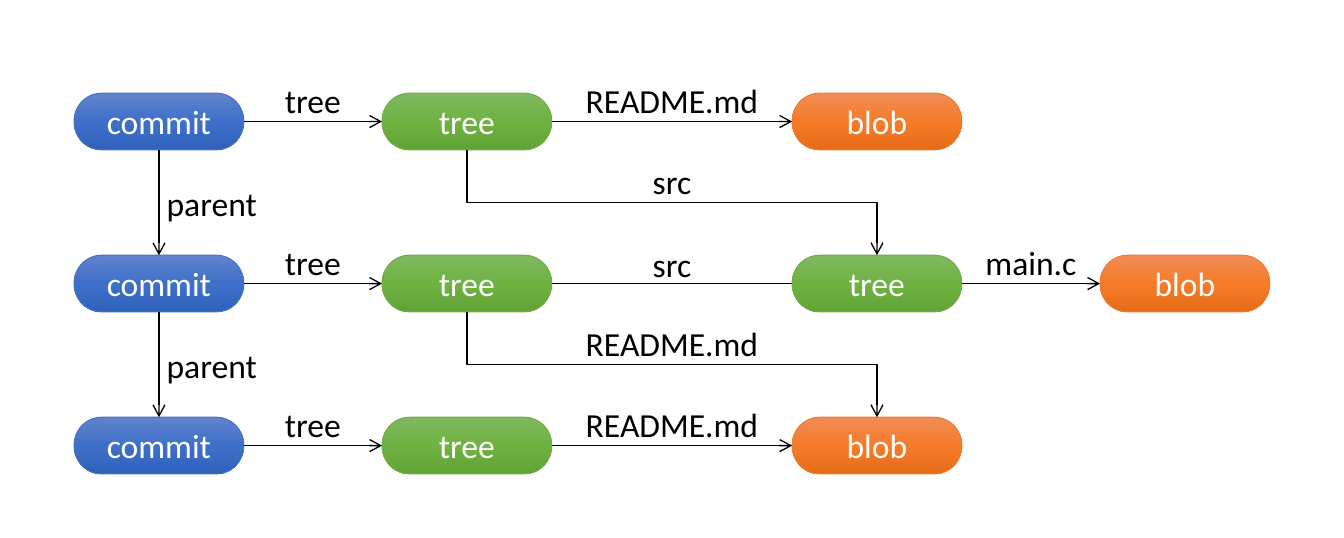
"""Draw a graph of commits, trees and blobs joined by labelled arrows."""
from copy import deepcopy

from lxml import etree
from pptx import Presentation, util as u
from pptx.dml.color import RGBColor
from pptx.enum import shapes, text
from pptx.oxml import ns

WIDE, HIGH = 3.21, 1.07
COLS = [1.4, 7.22, 14.97, 20.79]
ROWS = [1.76 + 3.06 * row for row in range(3)]
TOP, LEFT, BASE, RIGHT = range(4)
KINDS = {
    "commit": ("4472C4", ["6183CB", "3E70CA", "3062BB"]),
    "tree": ("70AD47", ["81B861", "6FB242", "62A336"]),
    "blob": ("ED7D31", ["F18C57", "F67B28", "E56C19"]),
}


def tint(code):
    """Turn a hex string into a colour."""
    return RGBColor.from_string(code)


class Graph:
    """Hold the style and the current slide."""

    font, size, ink, pale = "Calibri", u.Pt(18), "000000", "FFFFFF"

    def __init__(self, deck):
        """Add a blank slide to the deck."""
        self.slide = deck.slides.add_slide(deck.slide_layouts[6])

    def letter(self, shape, words, code, align):
        """Add one styled run to a shape."""
        para = shape.text_frame.paragraphs[0]
        para.alignment = align
        run = para.add_run()
        run.text = words
        run.font.name, run.font.size = self.font, self.size
        run.font.color.rgb = tint(code)

    def node(self, kind, col, row):
        """Draw a rounded node in a grid cell."""
        shape = self.slide.shapes.add_shape(
            shapes.MSO_SHAPE.FLOWCHART_TERMINATOR,
            u.Cm(COLS[col]), u.Cm(ROWS[row]), u.Cm(WIDE), u.Cm(HIGH))
        shape.shadow.inherit = False
        edge, shades = KINDS[kind]
        shape.line.color.rgb, shape.line.width = tint(edge), u.Pt(0.5)
        shape.fill.gradient()
        shape.fill.gradient_angle = 270
        stops = shape._element.spPr.find(".//" + ns.qn("a:gsLst"))
        stops.append(deepcopy(stops[0]))
        for step, (stop, shade) in enumerate(zip(shape.fill.gradient_stops, shades)):
            stop.color.rgb, stop.position = tint(shade), step / 2
        shape.text_frame.vertical_anchor = text.MSO_ANCHOR.MIDDLE
        self.letter(shape, kind, self.pale, text.PP_ALIGN.CENTER)
        return shape

    def link(self, start, end, out=RIGHT, into=LEFT, bent=False):
        """Join two nodes with an arrow, bent or straight."""
        kind = shapes.MSO_CONNECTOR.ELBOW if bent else shapes.MSO_CONNECTOR.STRAIGHT
        line = self.slide.shapes.add_connector(kind, 0, 0, 0, 0)
        line.begin_connect(start, out)
        line.end_connect(end, into)
        if bent:
            self.turn(line)
        line.line.color.rgb, line.line.width = tint(self.ink), u.Pt(0.75)
        props = line._element.spPr
        stroke = props.find(ns.qn("a:ln"))
        etree.SubElement(stroke, ns.qn("a:tailEnd"), type="arrow")
        etree.SubElement(props, ns.qn("a:effectLst"))

    def turn(self, line):
        """Rotate an elbow so that it leaves and arrives vertically."""
        wide, high = line.width, line.height
        shift = (wide - high) // 2
        line.left, line.top = line.left + shift, line.top - shift
        line.width, line.height = high, wide
        frame = line._element.spPr.find(ns.qn("a:xfrm"))
        frame.set("rot", "16200000")
        frame.set("flipH", "1")

    def label(self, words, left, top, wide, align=text.PP_ALIGN.CENTER):
        """Place a label without wrapping."""
        box = self.slide.shapes.add_textbox(
            u.Cm(left), u.Cm(top), u.Cm(wide), u.Cm(1.03))
        box.text_frame.word_wrap = False
        box.text_frame.auto_size = text.MSO_AUTO_SIZE.SHAPE_TO_FIT_TEXT
        self.letter(box, words, self.ink, align)

    def title(self, words, gap, row, drop=0):
        """Label the line in the gap after a column."""
        wide = {"README.md": 3.81, "main.c": 2.29, "tree": 1.57, "src": 1.24}[words]
        mid = (COLS[gap] + WIDE + COLS[gap + 1]) / 2
        top = ROWS[0] + (ROWS[1] - ROWS[0]) * row + HIGH / 2 - 0.92 + drop
        self.label(words, mid - wide / 2, top, wide)


deck = Presentation()
deck.slide_width, deck.slide_height = u.Cm(25.4), u.Cm(10.16)
graph = Graph(deck)

commits = [graph.node("commit", 0, row) for row in range(3)]
trees = [graph.node("tree", 1, row) for row in range(3)]
first, last = [graph.node("blob", 2, row) for row in (0, 2)]
main = graph.node("blob", 3, 1)

for row, (start, end) in enumerate(zip(commits, trees)):
    graph.link(start, end)
    graph.title("tree", 0, row)
for start, end in zip(trees, (first, main, last)):
    graph.link(start, end)
source = graph.node("tree", 2, 1)
for start, end in zip(trees, (source, last)):
    graph.link(start, end, BASE, TOP, bent=True)
for row, (start, end) in enumerate(zip(commits, commits[1:])):
    graph.link(start, end, BASE, TOP)
    mid = (ROWS[row] + ROWS[row + 1] + HIGH) / 2
    graph.label("parent", 2.9, mid - 0.5, 2.24, text.PP_ALIGN.LEFT)

for row in (0, 1.5, 2):
    graph.title("README.md", 1, row)
graph.title("src", 1, 0.5)
graph.title("src", 1, 1, 0.05)
graph.title("main.c", 2, 1)

deck.save("out.pptx")
